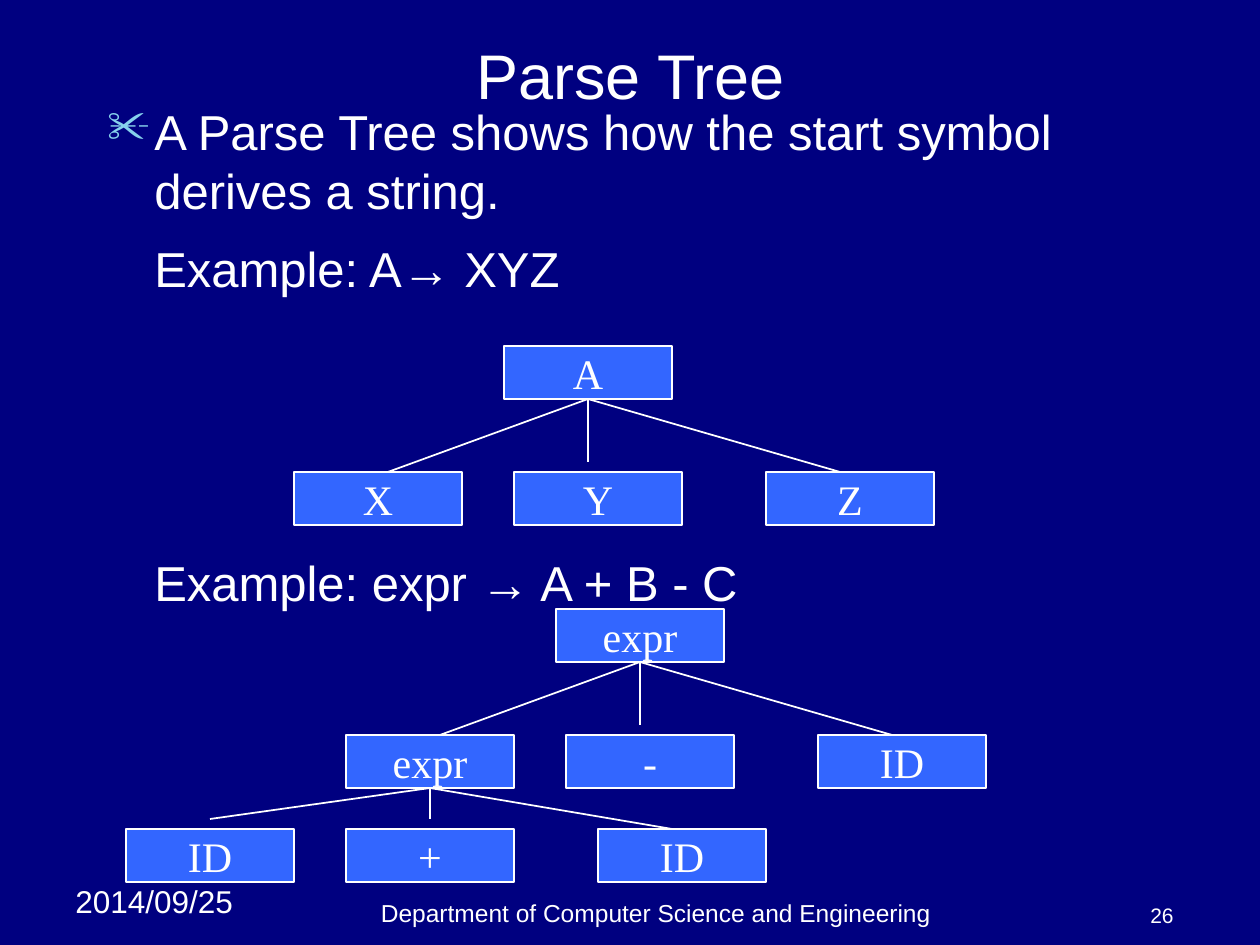
import pptx
import pptx.util
import pptx.dml.color
import pptx.enum.shapes
import pptx.enum.text
import pptx.oxml.ns
import lxml.etree

SCALE = 914400 / 126
HUES = {"back": "000080", "node": "3366FF", "ink": "FFFFFF", "mark": "86D1EC"}
ALIGN = pptx.enum.text.PP_ALIGN
ANCHOR = pptx.enum.text.MSO_ANCHOR
NODE_W, NODE_H = 168, 53


def px(num):
    return pptx.util.Emu(round(num * SCALE))


def hue(name):
    return pptx.dml.color.RGBColor.from_string(HUES[name])


def style(para, size, face="Arial", align=ALIGN.LEFT):
    para.alignment = align
    for run in para.runs:
        run.font.size = pptx.util.Pt(size)
        run.font.name = face
        run.font.color.rgb = hue("ink")


def add_text(slide, area, text, size, align=ALIGN.LEFT, anchor=ANCHOR.TOP):
    frame = slide.shapes.add_textbox(*map(px, area)).text_frame
    frame.word_wrap = True
    frame.vertical_anchor = anchor
    frame.text = text
    style(frame.paragraphs[0], size, align=align)
    return frame


def add_mark(para, char):
    props = para._p.get_or_add_pPr()
    tag = pptx.oxml.ns.qn
    color = lxml.etree.SubElement(props, tag("a:buClr"))
    lxml.etree.SubElement(color, tag("a:srgbClr"), val=HUES["mark"])
    lxml.etree.SubElement(props, tag("a:buSzPct"), val="90000")
    lxml.etree.SubElement(props, tag("a:buChar"), char=char)


def add_body(slide):
    items = [
        ("A Parse Tree shows how the start symbol derives a string.", 7),
        ("Example: A→ XYZ", 11),
        ("Example: expr → A + B - C", 146),
    ]
    frame = add_text(slide, (95, 95, 1071, 735), "", 28)
    for index, (text, gap) in enumerate(items):
        para = frame.add_paragraph() if index else frame.paragraphs[0]
        para.text = text
        style(para, 28)
        para.space_before = pptx.util.Pt(gap)
        props = para._p.get_or_add_pPr()
        props.set("marL", str(px(47)))
        props.set("indent", str(px(0 if index else -47)))
    add_mark(frame.paragraphs[0], "✂")


def add_node(slide, left, top, text):
    node = slide.shapes.add_shape(
        pptx.enum.shapes.MSO_SHAPE.RECTANGLE, *map(px, (left, top, NODE_W, NODE_H)))
    node.shadow.inherit = False
    node.fill.solid()
    node.fill.fore_color.rgb = hue("node")
    node.line.color.rgb = hue("ink")
    node.line.width = pptx.util.Pt(1)
    frame = node.text_frame
    frame.word_wrap = False
    frame.vertical_anchor = ANCHOR.MIDDLE
    frame.text = text
    style(frame.paragraphs[0], 24, "Times New Roman", ALIGN.CENTER)
    return node


def add_edge(slide, node, shift, drop):
    start_x, start_y = node.left + node.width // 2, node.top + node.height
    edge = slide.shapes.add_connector(
        pptx.enum.shapes.MSO_CONNECTOR.STRAIGHT,
        start_x, start_y, start_x + px(shift), start_y + px(drop))
    edge.begin_connect(node, 2)
    edge.line.color.rgb = hue("ink")
    edge.line.width = pptx.util.Pt(1)
    lxml.etree.SubElement(edge._element.spPr, pptx.oxml.ns.qn("a:effectLst"))


def add_kids(slide, root, left, top, kids, ends):
    nodes = [add_node(slide, x, top, text) for text, x in zip(kids, left)]
    for shift, drop in ends:
        add_edge(slide, root, shift, drop)
    return nodes


def add_tree(slide, left, top, text, kids):
    root = add_node(slide, left, top, text)
    spots = [left + step for step in (-210, 10, 262)]
    ends = [(-200, 73), (0, 63), (252, 73)]
    return add_kids(slide, root, spots, top + 126, kids, ends)


def main():
    deck = pptx.Presentation()
    deck.slide_width, deck.slide_height = px(1260), px(945)
    slide = deck.slides.add_slide(deck.slide_layouts[6])
    slide.background.fill.solid()
    slide.background.fill.fore_color.rgb = hue("back")

    add_text(slide, (63, 876, 199, 50), "2014/09/25", 18)
    add_text(slide, (231, 892, 850, 42),
             "Department of Computer Science and Engineering",
             14, ALIGN.CENTER, ANCHOR.BOTTOM)
    add_text(slide, (1102, 892, 84, 42), "26", 12, ALIGN.RIGHT, ANCHOR.BOTTOM)
    add_text(slide, (95, 32, 1071, 84), "Parse Tree", 36, ALIGN.CENTER, ANCHOR.MIDDLE)
    add_body(slide)

    add_tree(slide, 504, 346, "A", ["X", "Y", "Z"])
    kids = add_tree(slide, 556, 609, "expr", ["expr", "-", "ID"])
    add_kids(slide, kids[0], [126, 346, 598], 829, ["ID", "+", "ID"],
             [(-220, 31), (0, 31), (242, 41)])
    deck.save("out.pptx")


if __name__ == "__main__":
    main()
